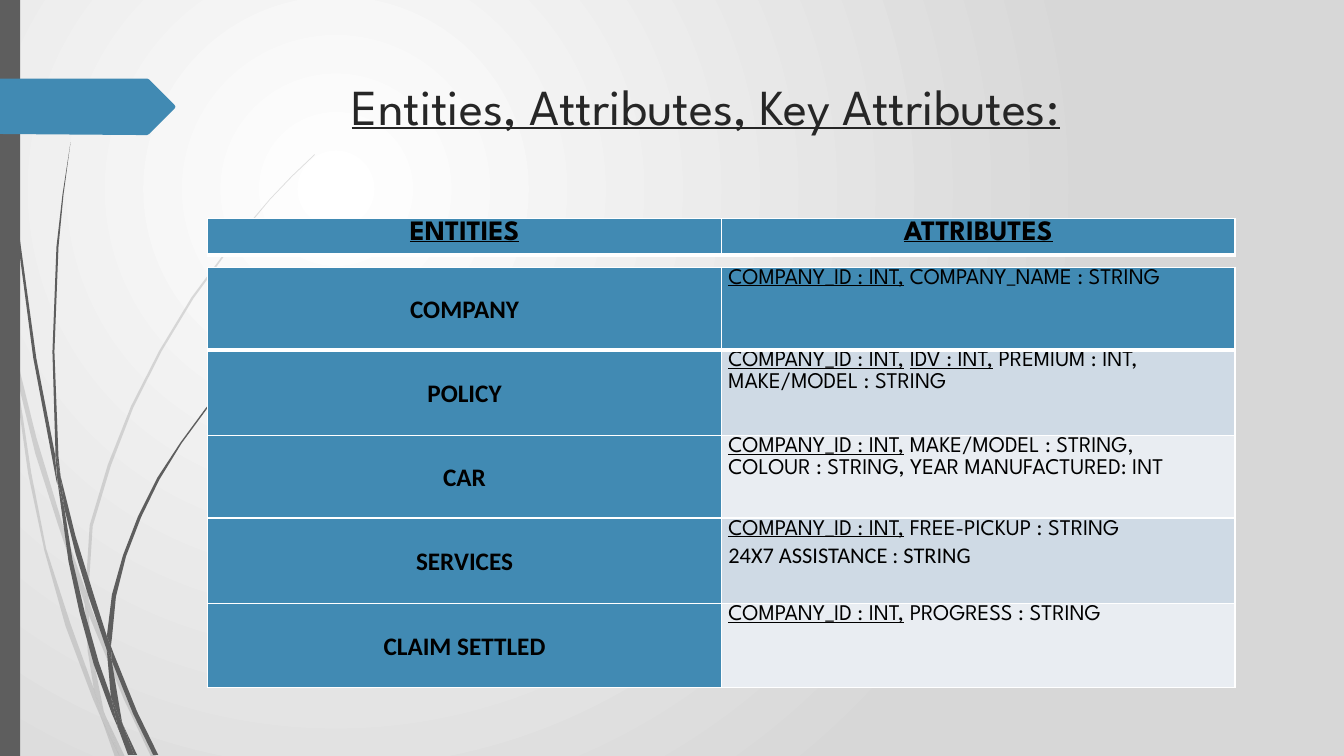
from lxml.etree import SubElement
from pptx import Presentation
from pptx.dml.color import RGBColor
from pptx.enum.shapes import MSO_SHAPE
from pptx.enum.text import MSO_ANCHOR, PP_ALIGN
from pptx.oxml.ns import qn
from pptx.util import Pt

PX = 9144
BLUE, GREY, BLACK, WHITE = "418AB3", "5E5E5E", "000000", "FFFFFF"
BANDS = ["CFDAE5", "E9EDF2"]
SPARTAN, CALIBRI = "League Spartan", "Calibri"

PALE_WISPS = [
    [(11, 350), (9, 322), (0, 282), (0, 299), (10, 344)],
    [(58, 522), (84, 599), (85, 586), (62, 520), (36, 434), (14, 345), (17, 376), (35, 450)],
    [(92, 607), (88, 596), (88, 610), (123, 694), (150, 751), (155, 751), (127, 692)],
    [(119, 751), (124, 751), (105, 711)],
    [(93, 683), (70, 619), (46, 545), (31, 469), (17, 376), (11, 350), (28, 470), (44, 546),
     (65, 621), (92, 693), (101, 714), (99, 707)],
    [(84, 599), (87, 646), (93, 683), (96, 692), (105, 711), (103, 706), (91, 646), (88, 610), (88, 608)],
    [(88, 584), (92, 522), (110, 462), (132, 405), (160, 349), (192, 296), (229, 245), (268, 198),
     (290, 175), (312, 154), (312, 153), (289, 175), (268, 197), (228, 244), (190, 295), (158, 348),
     (130, 403), (107, 461), (89, 521), (85, 584), (85, 586), (88, 596)],
    [(101, 714), (114, 751), (119, 751)],
    [(88, 608), (88, 596), (85, 586), (84, 599)],
    [(96, 692), (93, 683), (99, 707), (101, 714), (119, 751), (105, 711)],
]
DARK_WISPS = [
    [(7, 110), (17, 233), (33, 355), (56, 477), (57, 481), (55, 457), (55, 453), (36, 355),
     (19, 232), (8, 109), (5, 48), (4, 0), (3, 0), (4, 48)],
    [(88, 592), (106, 645), (106, 631), (93, 590), (75, 532), (60, 472), (64, 505), (75, 549)],
    [(113, 649), (110, 641), (111, 656), (132, 708), (152, 749), (157, 749), (136, 706)],
    [(110, 691), (98, 657), (84, 607), (72, 556), (64, 505), (57, 477), (68, 557), (79, 608),
     (93, 659), (111, 708), (117, 722), (116, 717)],
    [(60, 472), (58, 453), (54, 349), (58, 245), (63, 193), (70, 141), (62, 193), (56, 245),
     (52, 349), (55, 449)],
    [(133, 749), (136, 749), (122, 719)],
    [(57, 477), (64, 505), (60, 472), (55, 449), (55, 453)],
    [(111, 633), (115, 592), (125, 552), (140, 513), (158, 476), (180, 440), (205, 406), (231, 374),
     (245, 359), (261, 344), (260, 344), (245, 358), (231, 373), (204, 405), (179, 439), (156, 474),
     (137, 512), (122, 551), (111, 590), (106, 631), (110, 641)],
    [(117, 722), (127, 749), (131, 749)],
    [(106, 645), (110, 691), (116, 706), (122, 719), (121, 716), (111, 656), (109, 651)],
    [(106, 645), (109, 651), (111, 656), (110, 641), (106, 631)],
    [(116, 706), (110, 691), (116, 717), (117, 722), (130, 749), (133, 749), (122, 719)],
]
ARROW = [(173, 108), (148, 133), (146, 134), (136, 134), (0, 133), (0, 78), (146, 78), (148, 79),
         (173, 104), (174, 106)]

COMPANY_KEY = "COMPANY_ID : INT,"
ENTITIES = [
    ("COMPANY", [COMPANY_KEY], "COMPANY_NAME : STRING", None),
    ("POLICY", [COMPANY_KEY, "IDV : INT,"], "PREMIUM : INT, MAKE/MODEL : STRING", None),
    ("CAR", [COMPANY_KEY], "MAKE/MODEL : STRING, COLOUR : STRING, YEAR MANUFACTURED: INT", None),
    ("SERVICES", [COMPANY_KEY], "FREE-PICKUP : STRING", "24X7 ASSISTANCE : STRING"),
    ("CLAIM SETTLED", [COMPANY_KEY], "PROGRESS : STRING", None),
]


def rgb(code):
    return RGBColor.from_string(code)


def style(run, size, face=SPARTAN, colour=BLACK, bold=False, underline=False):
    run.font.size, run.font.name = Pt(size), face
    run.font.bold, run.font.underline = bold, underline
    run.font.color.rgb = rgb(colour)


def paint(shape, colour):
    shape.shadow.inherit = False
    shape.fill.solid()
    shape.fill.fore_color.rgb = rgb(colour)
    shape.line.fill.background()


def outline(slide, left, top, points, colour, opacity=100):
    builder = slide.shapes.build_freeform(*points[0], scale=PX)
    builder.add_line_segments(points[1:], close=True)
    figure = builder.convert_to_shape(left * PX, top * PX)
    paint(figure, colour)
    if opacity < 100:
        tint = figure.fill._xPr.find(".//" + qn("a:srgbClr"))
        SubElement(tint, qn("a:alpha"), val=str(opacity * 1000))


def backdrop(slide):
    fill = slide.background.fill
    fill.gradient()
    for stop, colour, position in zip(fill.gradient_stops, [WHITE, "D7D7D7"], [0, 1]):
        stop.color.rgb = rgb(colour)
        stop.position = position
    gradient = next(slide._element.iter(qn("a:gradFill")))
    gradient.remove(gradient.find(qn("a:lin")))
    radial = SubElement(gradient, qn("a:path"), path="circle")
    SubElement(radial, qn("a:fillToRect"), l="50000", t="50000", r="100000", b="100000")


def side_decoration(slide, left, top, height):
    for wisp in PALE_WISPS:
        outline(slide, left, top, wisp, GREY, 20)
    for wisp in DARK_WISPS:
        outline(slide, left, top, wisp, GREY)
    bar = slide.shapes.add_shape(MSO_SHAPE.RECTANGLE, left * PX, top * PX, 20 * PX, height * PX)
    paint(bar, GREY)
    outline(slide, left, top, ARROW, BLUE)


def heading(slide, left, top, width, height):
    title = slide.shapes.add_textbox(left * PX, top * PX, width * PX, height * PX)
    title.text_frame.word_wrap = True
    title.text_frame.vertical_anchor = MSO_ANCHOR.MIDDLE
    title.text_frame.text = "Entities, Attributes, Key Attributes:"
    style(title.text_frame.paragraphs[0].runs[0], 36, colour="262626", underline=True)


def dress_cell(cell, colour, top_line, bottom_line):
    cell.margin_left = cell.margin_right = 7 * PX
    cell.margin_top = cell.margin_bottom = 0
    properties = cell._tc.get_or_add_tcPr()
    for side, points in zip("LRTB", [1, 1, top_line, bottom_line]):
        border = SubElement(properties, qn(f"a:ln{side}"), w=str(Pt(points)))
        SubElement(SubElement(border, qn("a:solidFill")), qn("a:srgbClr"), val=WHITE)
    cell.fill.solid()
    cell.fill.fore_color.rgb = rgb(colour)


def bare_table(slide, left, top, width, row_heights):
    frame = slide.shapes.add_table(len(row_heights), 2, left * PX, top * PX,
                                   width * PX, sum(row_heights) * PX)
    table = frame.table
    table.first_row = table.horz_banding = False
    for row, height in zip(table.rows, row_heights):
        row.height = height * PX
    return table


def centred_label(cell, label, size, face, underline=False):
    cell.text_frame.text = label
    paragraph = cell.text_frame.paragraphs[0]
    paragraph.alignment = PP_ALIGN.CENTER
    paragraph.line_spacing = 1.07
    style(paragraph.runs[0], size, face, bold=True, underline=underline)


def header_table(slide, left, top, width):
    table = bare_table(slide, left, top, width, [31])
    for cell, label in zip(table.rows[0].cells, ["ENTITIES", "ATTRIBUTES"]):
        dress_cell(cell, BLUE, 1, 3)
        centred_label(cell, label, 20, SPARTAN, underline=True)


def attribute_text(cell, keys, others, extra):
    listing = cell.text_frame.paragraphs[0]
    listing.line_spacing = 1.07
    pieces = [piece for key in keys for piece in ((key, True), (" ", False))]
    pieces[-1] = (" " + others, False)
    for text, is_key in pieces:
        run = listing.add_run()
        run.text = text
        style(run, 16, underline=is_key)
    if extra:
        extra_line = cell.text_frame.add_paragraph()
        extra_line.text = extra
        extra_line.line_spacing = 1.07
        style(extra_line.runs[0], 16, CALIBRI)


def entity_table(slide, left, top, width):
    table = bare_table(slide, left, top, width, [82, 85, 82, 85, 83])
    for index, (entity, keys, others, extra) in enumerate(ENTITIES):
        name_cell, attribute_cell = table.rows[index].cells
        lines = (3 if index == 1 else 1, 3 if index == 0 else 1)
        dress_cell(name_cell, BLUE, *lines)
        dress_cell(attribute_cell, BANDS[(index - 1) % 2] if index else BLUE, *lines)
        name_cell.vertical_anchor = MSO_ANCHOR.MIDDLE
        centred_label(name_cell, entity, 18, CALIBRI)
        attribute_text(attribute_cell, keys, others, extra)


def main():
    deck = Presentation()
    deck.slide_width, deck.slide_height = 1333 * PX, 750 * PX
    slide = deck.slides.add_slide(deck.slide_layouts[6])
    backdrop(slide)
    side_decoration(slide, 0, 0, 750)
    heading(slide, 339, 60, 836, 88)
    header_table(slide, 206, 217, 1019)
    entity_table(slide, 206, 265, 1019)
    deck.save("out.pptx")


if __name__ == "__main__":
    main()
